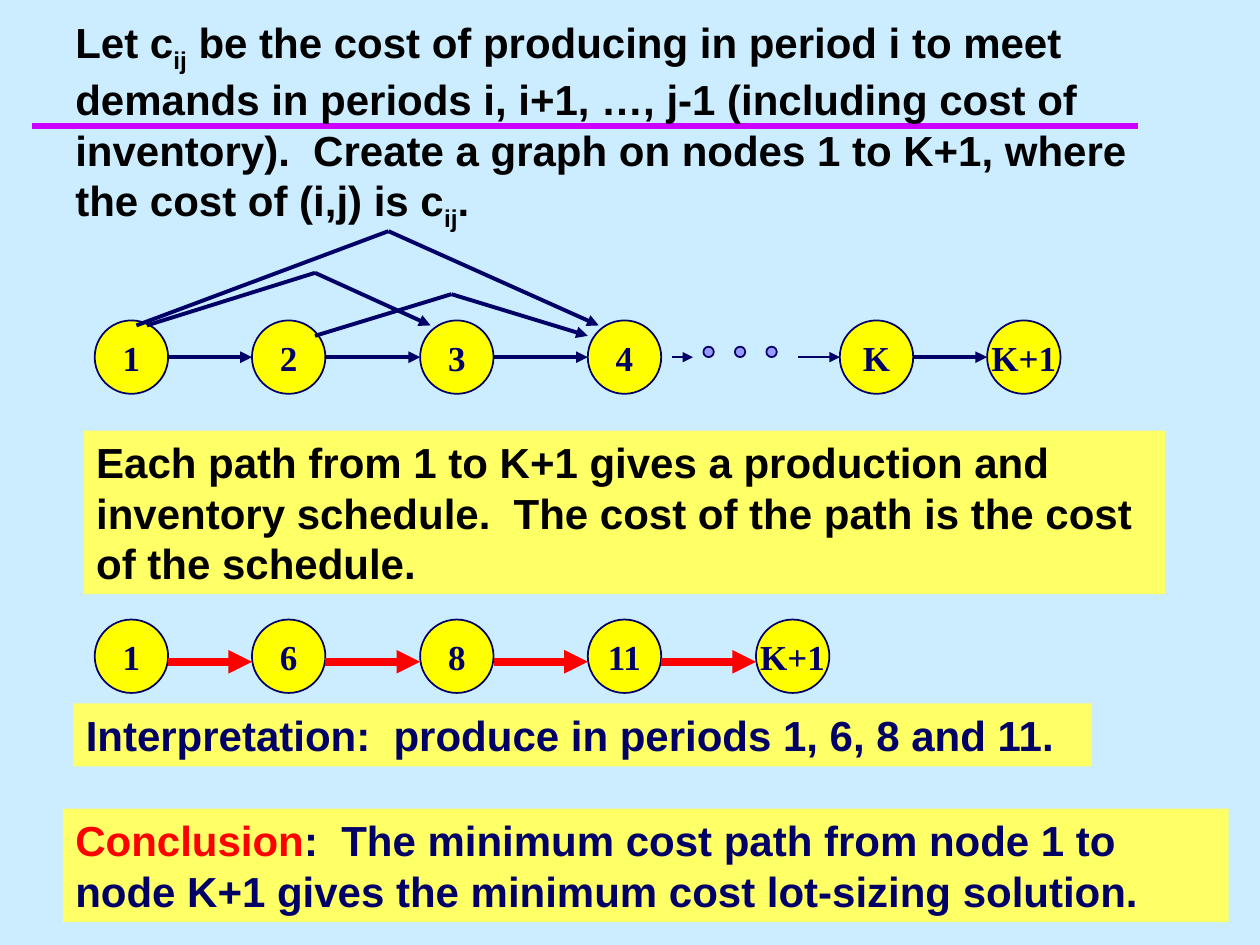
"""Build the lot-sizing slide: production periods as a shortest path problem."""
from lxml.etree import SubElement
from pptx import Presentation
from pptx.dml.color import RGBColor
from pptx.enum.shapes import MSO_CONNECTOR, MSO_SHAPE
from pptx.enum.text import MSO_ANCHOR, MSO_AUTO_SIZE, PP_ALIGN
from pptx.oxml.ns import qn
from pptx.util import Cm, Pt

SKY = RGBColor(0xCC, 0xEC, 0xFF)
MAGENTA = RGBColor(0xCC, 0x00, 0xFF)
NAVY = RGBColor(0x00, 0x00, 0x66)
YELLOW = RGBColor(0xFF, 0xFF, 0x00)
PALE_YELLOW = RGBColor(0xFF, 0xFF, 0x66)
LILAC = RGBColor(0x99, 0x99, 0xFF)
RED = RGBColor(0xFF, 0x00, 0x00)
BLACK = RGBColor(0x00, 0x00, 0x00)

NODE_SIZE = 1.48
DOT_SIZE = 0.21
GRAPH_TOP, GRAPH_ARROW_Y = 6.46, 7.2
PATH_TOP, PATH_ARROW_Y = 12.49, 13.34

GRAPH_NODES = [("1", 1.91), ("2", 5.08), ("3", 8.47), ("4", 11.85), ("K", 16.93), ("K+1", 19.9)]
PATH_NODES = [("1", 1.91), ("6", 5.08), ("8", 8.47), ("11", 11.85), ("K+1", 15.24)]
ELLIPSIS_ARROWS = [(13.55, 13.97), (16.09, 16.93)]
ELLIPSIS_DOTS = [14.18 + 0.635 * i for i in range(3)]
BENT_ARCS = [
    ((2.96, 6.56), (6.35, 5.5), (8.68, 6.56)),
    ((2.75, 6.56), (7.83, 4.66), (12.07, 6.56)),
    ((6.35, 6.77), (9.1, 5.93), (11.85, 6.77)),
]

STATEMENTS = [
    ((1.48, 14.18, 20.53, 1.27), PALE_YELLOW,
     [("Interpretation:  produce in periods 1, 6, 8 and 11.", NAVY, False)]),
    ((1.69, 8.68, 21.8, 3.3), PALE_YELLOW,
     [("Each path from 1 to K+1 gives a production and inventory schedule.  "
       "The cost of the path is the cost of the schedule.", BLACK, False)]),
    ((1.27, 0.21, 22.65, 4.6), None,
     [("Let c", BLACK, False), ("ij", BLACK, True),
      (" be the cost of producing in period i to meet demands in periods i, i+1, …, j-1 "
       "(including cost of inventory).  Create a graph on nodes 1 to K+1, where the cost "
       "of (i,j) is c", BLACK, False), ("ij", BLACK, True), (".", BLACK, False)]),
    ((1.27, 16.3, 23.5, 2.29), PALE_YELLOW,
     [("Conclusion", RED, False),
      (":  The minimum cost path from node 1 to node K+1 gives the minimum cost "
       "lot-sizing solution.", NAVY, False)]),
]


def style_font(font, name, size, color):
    font.name, font.size, font.bold = name, Pt(size), True
    font.color.rgb = color


def add_line(shapes, start, end, color, width, arrow=False):
    line = shapes.add_connector(MSO_CONNECTOR.STRAIGHT, *map(Cm, (*start, *end)))
    line.line.color.rgb = color
    line.line.width = Pt(width)
    if arrow:
        SubElement(line.line._get_or_add_ln(), qn("a:tailEnd"), type="triangle")
    SubElement(line._element.spPr, qn("a:effectLst"))


def add_circle(shapes, left, top, size, fill):
    circle = shapes.add_shape(MSO_SHAPE.OVAL, *map(Cm, (left, top, size, size)))
    circle.shadow.inherit = False
    circle.fill.solid()
    circle.fill.fore_color.rgb = fill
    circle.line.color.rgb = NAVY
    circle.line.width = Pt(1)
    return circle


def add_nodes(shapes, nodes, top):
    for label, left in nodes:
        frame = add_circle(shapes, left, top, NODE_SIZE, YELLOW).text_frame
        frame.word_wrap = False
        frame.vertical_anchor = MSO_ANCHOR.MIDDLE
        frame.text = label
        frame.paragraphs[0].alignment = PP_ALIGN.CENTER
        style_font(frame.paragraphs[0].runs[0].font, "Times New Roman", 20, NAVY)


def add_links(shapes, nodes, y, color, width):
    for (_, left), (_, next_left) in zip(nodes, nodes[1:]):
        add_line(shapes, (left + NODE_SIZE, y), (next_left, y), color, width, arrow=True)


def add_statement(shapes, box, fill, parts):
    if fill is None:
        statement = shapes.add_textbox(*map(Cm, box))
    else:
        statement = shapes.add_shape(MSO_SHAPE.RECTANGLE, *map(Cm, box))
        statement.shadow.inherit = False
        statement.fill.solid()
        statement.fill.fore_color.rgb = fill
        statement.line.fill.background()
    frame = statement.text_frame
    frame.word_wrap = True
    frame.auto_size = MSO_AUTO_SIZE.SHAPE_TO_FIT_TEXT
    frame.vertical_anchor = MSO_ANCHOR.TOP
    paragraph = frame.paragraphs[0]
    paragraph.alignment = PP_ALIGN.LEFT
    for text, color, subscript in parts:
        run = paragraph.add_run()
        run.text = text
        style_font(run.font, "Arial", 24, color)
        if subscript:
            run.font._element.set("baseline", "-25000")


def main():
    deck = Presentation()
    deck.slide_width, deck.slide_height = Cm(25.4), Cm(19.05)
    slide = deck.slides.add_slide(deck.slide_layouts[6])
    slide.background.fill.solid()
    slide.background.fill.fore_color.rgb = SKY
    add_line(slide.shapes, (0.64, 2.54), (22.94, 2.54), MAGENTA, 4)

    graph = slide.shapes.add_group_shape().shapes
    add_nodes(graph, GRAPH_NODES, GRAPH_TOP)
    for chain in (GRAPH_NODES[:4], GRAPH_NODES[4:]):
        add_links(graph, chain, GRAPH_ARROW_Y, NAVY, 2.25)
    for start, end in ELLIPSIS_ARROWS:
        add_line(graph, (start, GRAPH_ARROW_Y), (end, GRAPH_ARROW_Y), NAVY, 1, arrow=True)
    for left in ELLIPSIS_DOTS:
        add_circle(graph, left, 6.99, DOT_SIZE, LILAC)
    for start, peak, end in BENT_ARCS:
        add_line(graph, start, peak, NAVY, 2.25)
        add_line(graph, peak, end, NAVY, 2.25, arrow=True)

    path = slide.shapes.add_group_shape().shapes
    add_nodes(path, PATH_NODES, PATH_TOP)
    add_links(path, PATH_NODES, PATH_ARROW_Y, RED, 4.5)

    for box, fill, parts in STATEMENTS:
        add_statement(slide.shapes, box, fill, parts)
    deck.save("out.pptx")


if __name__ == "__main__":
    main()
